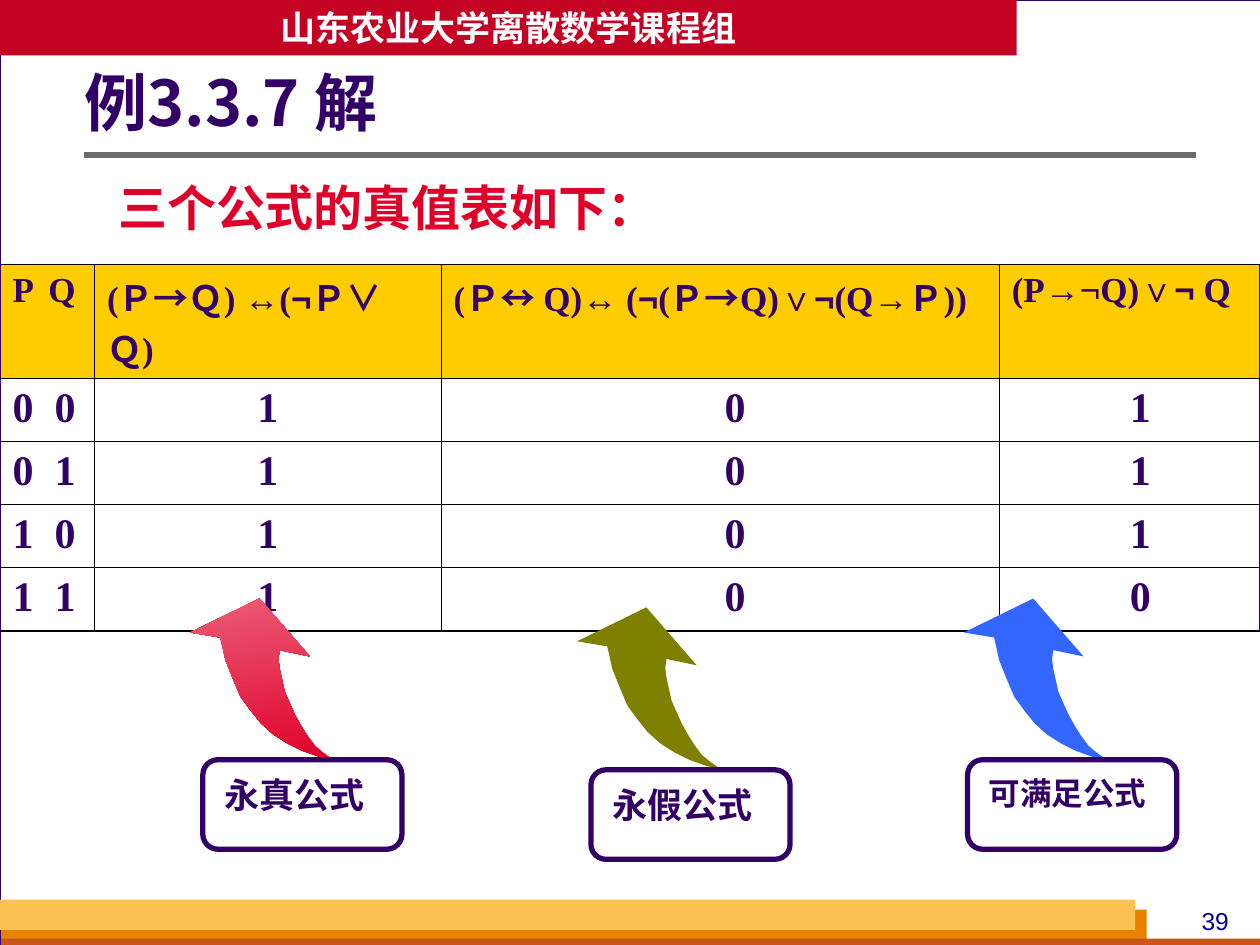
from dataclasses import dataclass
from typing import NamedTuple

from lxml import etree
from pptx import Presentation
from pptx.dml.color import RGBColor
from pptx.enum.shapes import MSO_CONNECTOR, MSO_SHAPE
from pptx.enum.text import MSO_ANCHOR, MSO_AUTO_SIZE, PP_ALIGN
from pptx.oxml.ns import qn
from pptx.util import Inches, Pt

RECT, ROUND_RECT = MSO_SHAPE.RECTANGLE, MSO_SHAPE.ROUNDED_RECTANGLE
LEFT, CENTER = PP_ALIGN.LEFT, PP_ALIGN.CENTER
MIDDLE = MSO_ANCHOR.MIDDLE
TITLE_ONLY = 5


@dataclass(frozen=True)
class Theme:
    ink: str = "330066"
    white: str = "FFFFFF"
    black: str = "000000"
    backdrop: str = "D8DADA"
    banner: str = "C30224"
    rule: str = "6B6B6B"
    accent: str = "DF0029"
    accent_light: str = "EB5D77"
    olive: str = "808000"
    blue: str = "3366FF"
    header: str = "FFCC00"
    number: str = "000099"
    sans: str = "Arial"
    serif: str = "Times New Roman"
    cjk: str = "Noto Sans CJK SC"
    title_size: int = 36
    lead_size: int = 28
    value_size: int = 24
    text_size: int = 20
    small_size: int = 18
    number_size: int = 14


T = Theme()


class Run(NamedTuple):
    text: str
    font: str = T.serif
    size: int = T.text_size
    color: str = T.ink
    bold: bool = True


class Bar(NamedTuple):
    box: tuple[float, float, float, float]
    fill: str
    line: str | None = None


class Callout(NamedTuple):
    tip: tuple[float, float]
    box: tuple[float, float, float, float]
    label: Run
    fills: tuple[str, ...]


BARS = [
    Bar((0, 0, 10.01, 7.5), T.white, T.ink),
    Bar((0.01, 7.22, 9.09, 0.28), "E88000"),
    Bar((0.01, 7.45, 10, 0.08), "C95616"),
    Bar((0, 7.14, 9.01, 0.24), "FCC24F"),
]
CALLOUTS = [
    Callout((2.06, 4.75), (1.61, 6.03, 1.58, 0.71), Run("永真公式", T.sans), (T.accent, T.accent_light)),
    Callout((5.13, 4.82), (4.69, 6.11, 1.58, 0.71), Run("永假公式", T.sans), (T.olive,)),
    Callout((8.2, 4.75), (7.68, 6.03, 1.66, 0.71), Run("可满足公式", T.sans, T.small_size), (T.blue,)),
]
# Curved arrow outline in hundredths of an inch, measured from its tip
ARROW = [
    (0, 0), (40, 46), (16, 41), (15, 48), (16, 56), (18, 65), (20, 74), (24, 83), (28, 92),
    (33, 101), (38, 109), (44, 117), (50, 122), (57, 127), (63, 129), (48, 126), (34, 121),
    (22, 115), (11, 108), (1, 99), (-7, 89), (-15, 78), (-21, 64), (-27, 49), (-31, 31), (-55, 27),
]
IFF, NOT = Run("↔", T.sans), Run("¬", T.sans)
HEADERS = [
    [Run("P\tQ")],
    [Run("(Ｐ→Ｑ) "), IFF, Run("("), NOT, Run("Ｐ∨Ｑ)")],
    [Run("(Ｐ"), Run("↔ ", T.sans), Run("Q)"), IFF, Run(" ("), NOT, Run("(Ｐ→Q)∨"), NOT, Run("(Q→Ｐ))")],
    [Run("(P→"), NOT._replace(bold=False), Run("Q)∨"), NOT, Run(" Q")],
]
TRUTH = ["0011", "0110", "1010", "1100"]
VALUES = [("0\t0", "1", "0", "1"), ("0\t1", "1", "0", "1"), ("1\t0", "1", "0", "1"), ("1\t1", "1", "0", "0")]
COL_WIDTHS = [0.75, 2.75, 4.43, 2.07]
ROW_HEIGHTS = [0.77] + [0.5] * 4
VALUE_MARGINS = [0.1, 0.1, 0.34, 0.27]


def rgb(color: str) -> RGBColor:
    return RGBColor.from_string(color)


def inches(values) -> list:
    return [Inches(v) for v in values]


def write(p, runs: list[Run], align=LEFT) -> None:
    p.alignment = align
    for run in runs:
        r = p.add_run()
        r.text = run.text
        formats = {"name": run.font, "size": Pt(run.size), "bold": run.bold}
        for name, value in formats.items():
            setattr(r.font, name, value)
        r.font.color.rgb = rgb(run.color)
        r.font._element.find(qn("a:latin")).addnext(
            r.font._element.makeelement(qn("a:ea"), {"typeface": T.cjk}))


def add_bar(shapes, bar: Bar):
    s = shapes.add_shape(RECT, *inches(bar.box))
    s.shadow.inherit = False
    s.fill.solid()
    s.fill.fore_color.rgb = rgb(bar.fill)
    if bar.line:
        s.line.color.rgb = rgb(bar.line)
        s.line.width = Pt(0.75)
    else:
        s.line.fill.background()
    return s


def add_text(shapes, box, run: Run, align=LEFT, wrap: bool = True) -> None:
    tf = shapes.add_textbox(*inches(box)).text_frame
    tf.word_wrap = wrap
    write(tf.paragraphs[0], [run], align)


def add_rule(shapes) -> None:
    line = shapes.add_connector(MSO_CONNECTOR.STRAIGHT, *inches((0.67, 1.23, 9.49, 1.23)))
    line.line.color.rgb = rgb(T.rule)
    line.line.width = Pt(3)
    etree.SubElement(line._element.spPr, qn("a:effectLst"))


def add_callout(shapes, c: Callout) -> None:
    group = shapes.add_group_shape().shapes
    builder = group.build_freeform(*ARROW[0], scale=Inches(0.01))
    builder.add_line_segments(ARROW[1:], close=True)
    arrow = builder.convert_to_shape(*inches(c.tip))
    arrow.shadow.inherit = False
    arrow.line.fill.background()
    if len(c.fills) > 1:
        arrow.fill.gradient()
        arrow.fill.gradient_angle = 101
        for stop, color in zip(arrow.fill.gradient_stops, c.fills):
            stop.color.rgb = rgb(color)
    else:
        arrow.fill.solid()
        arrow.fill.fore_color.rgb = rgb(c.fills[0])
    frame = group.add_shape(ROUND_RECT, *inches(c.box))
    frame.shadow.inherit = False
    frame.fill.background()
    frame.line.color.rgb = rgb(T.ink)
    frame.line.width = Pt(3)
    x, y, w, _ = c.box
    add_text(group, (x + 0.07, y + 0.06, w - 0.18, 0.44), c.label)


def set_borders(cell, row: int, col: int) -> None:
    """Thin black inside, heavier outside, with ink-coloured left and right edges."""
    tc_pr = cell._tc.get_or_add_tcPr()
    edges = {"a:lnL": col == 0, "a:lnR": col == len(COL_WIDTHS) - 1,
             "a:lnT": row == 0, "a:lnB": row == len(ROW_HEIGHTS) - 1}
    for i, (tag, outer) in enumerate(edges.items()):
        ln = tc_pr.makeelement(qn(tag), {"w": str(Pt(1.08 if outer else 0.45))})
        fill = etree.SubElement(ln, qn("a:solidFill"))
        color = T.ink if outer and tag in ("a:lnL", "a:lnR") else T.black
        etree.SubElement(fill, qn("a:srgbClr"), val=color)
        tc_pr.insert(i, ln)


def add_right_tab(p, position: float) -> None:
    tabs = etree.SubElement(p._p.get_or_add_pPr(), qn("a:tabLst"))
    etree.SubElement(tabs, qn("a:tab"), pos=str(Inches(position)), algn="r")


def add_truth_table(shapes) -> None:
    table = shapes.add_table(len(ROW_HEIGHTS), len(COL_WIDTHS), *inches((0, 2.1, 10, 2.77))).table
    for column, width in zip(table.columns, COL_WIDTHS):
        column.width = Inches(width)
    body = [[[Run(v, size=T.value_size)] for v in row] for row in VALUES]
    for i, (height, row) in enumerate(zip(ROW_HEIGHTS, [HEADERS] + body)):
        table.rows[i].height = Inches(height)
        for j, runs in enumerate(row):
            cell = table.cell(i, j)
            cell.fill.solid()
            cell.fill.fore_color.rgb = rgb(T.white if i else T.header)
            cell.margin_left = Inches(VALUE_MARGINS[j] if i else 0.1)
            set_borders(cell, i, j)
            p = cell.text_frame.paragraphs[0]
            if j == 0:
                add_right_tab(p, 0.5)
            write(p, runs, CENTER if i and j else LEFT)


def set_title(s) -> None:
    title = s.shapes.title
    s.shapes._spTree.append(title._element)  # in front of the background bars
    title.left, title.top, title.width, title.height = inches((0.67, 0.46, 8.82, 0.77))
    tf = title.text_frame
    formats = {"auto_size": MSO_AUTO_SIZE.NONE, "vertical_anchor": MIDDLE, "margin_left": 0}
    for name, value in formats.items():
        setattr(tf, name, value)
    p = tf.paragraphs[0]
    p.line_spacing = 0.9
    write(p, [Run("例3.3.7 解", T.cjk, T.title_size)])


def main() -> None:
    prs = Presentation()
    prs.slide_width, prs.slide_height = Inches(10), Inches(7.5)
    s = prs.slides.add_slide(prs.slide_layouts[TITLE_ONLY])
    s.background.fill.solid()
    s.background.fill.fore_color.rgb = rgb(T.backdrop)
    for bar in BARS:
        add_bar(s.shapes, bar)
    add_text(s.shapes, (9.33, 7.14, 0.63, 0.34), Run("39", T.sans, T.number_size, T.number, False), CENTER)
    add_rule(s.shapes)
    tf = add_bar(s.shapes, Bar((0, 0, 8.07, 0.44), T.banner)).text_frame
    tf.word_wrap, tf.vertical_anchor = False, MIDDLE
    write(tf.paragraphs[0], [Run("山东农业大学离散数学课程组", T.cjk, color=T.white)], CENTER)
    set_title(s)
    add_truth_table(s.shapes)
    for callout in CALLOUTS:
        add_callout(s.shapes, callout)
    lead = Run("三个公式的真值表如下：", T.cjk, T.lead_size, T.accent)
    add_text(s.shapes, (0.84, 1.36, 4.47, 0.57), lead, wrap=False)
    prs.save("out.pptx")


if __name__ == "__main__":
    main()
